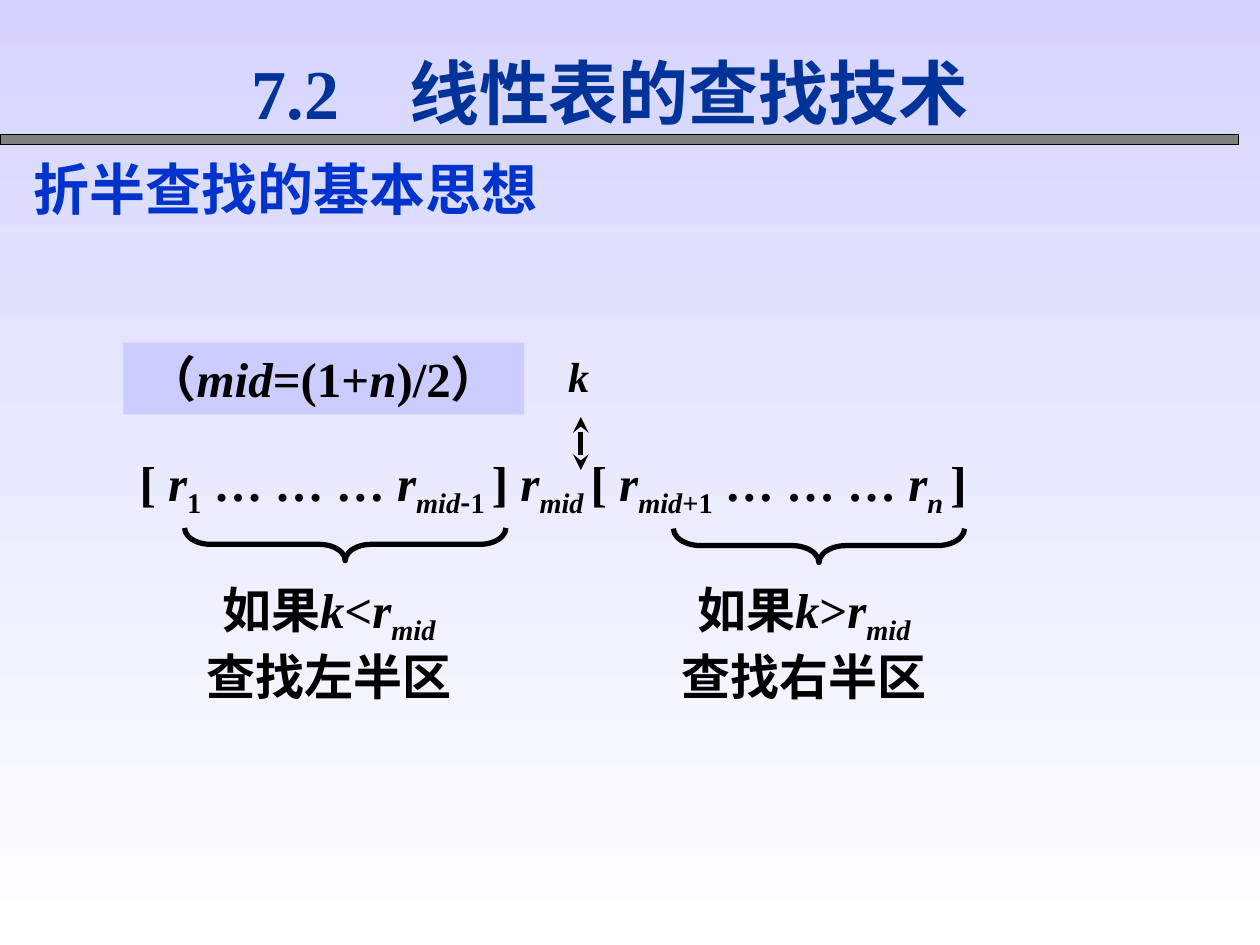
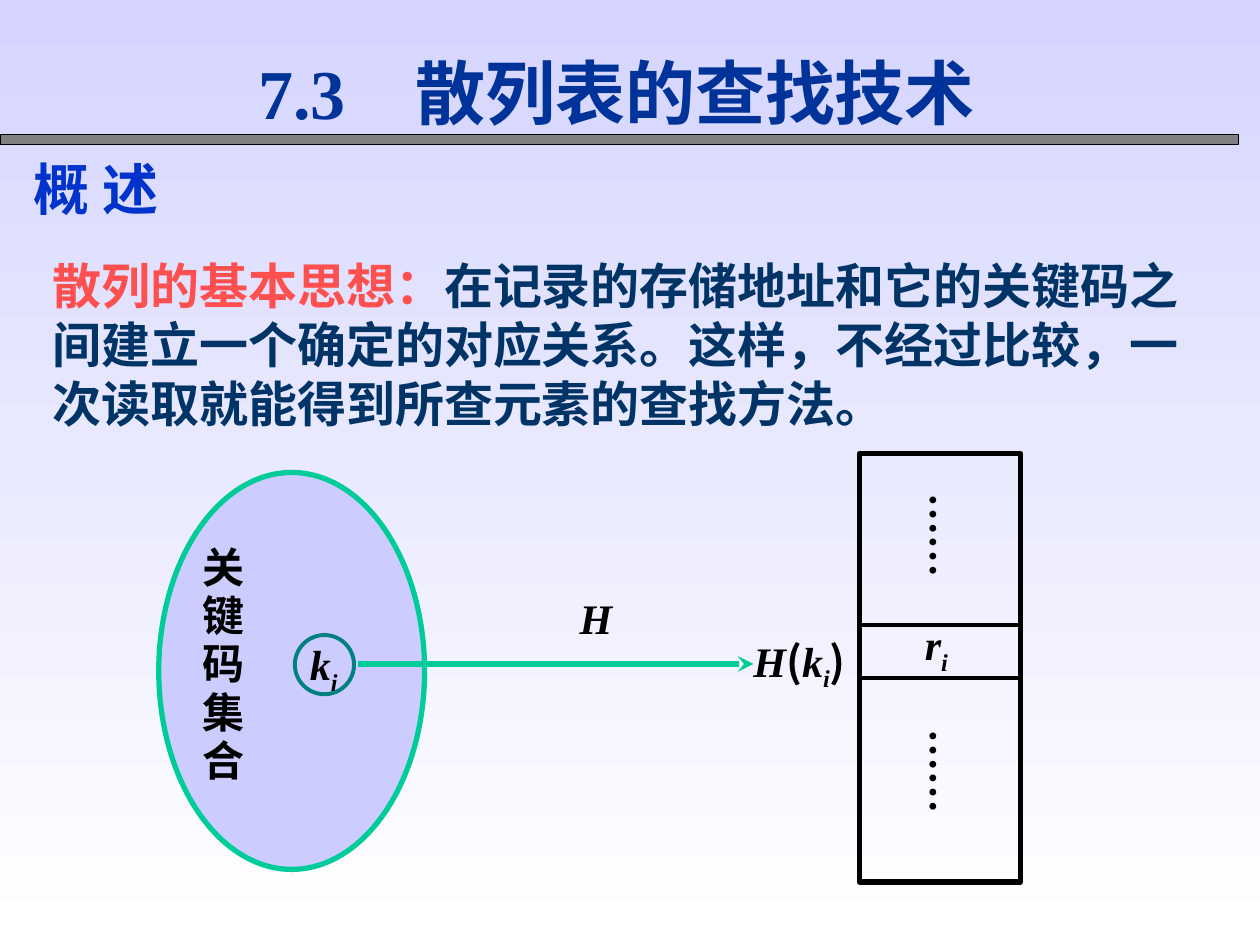
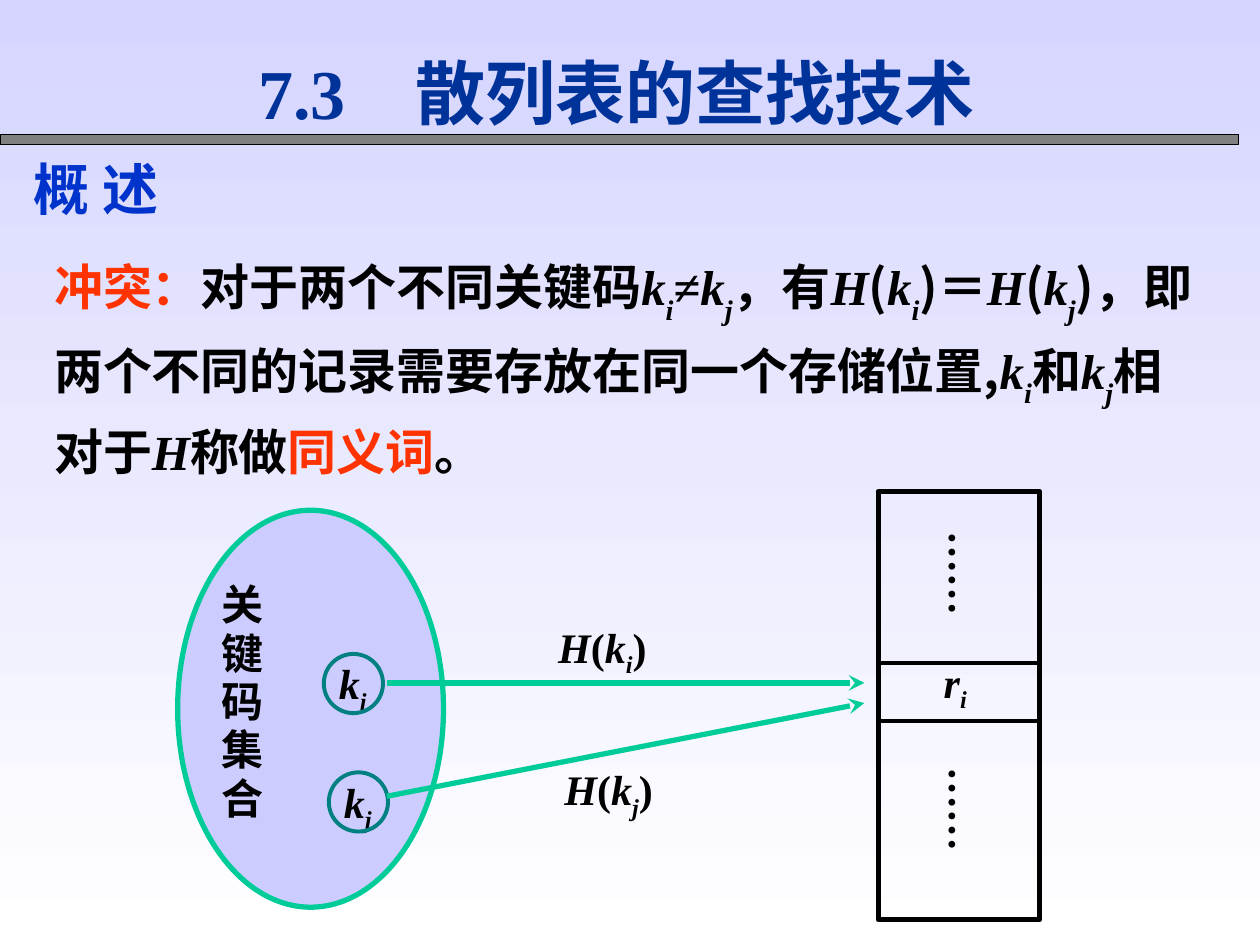
from lxml import etree
from pptx import Presentation
from pptx.dml.color import RGBColor
from pptx.enum import shapes, text
from pptx.oxml import ns
from pptx.util import Inches, Pt

LATIN, CJK = "Times New Roman", "Noto Sans CJK SC"
BLACK, GREEN, TEAL, LILAC = "000000", "00CC99", "008080", "CCCCFF"
NAVY, BLUE, INK, CORAL, RED = "003399", "0033CC", "003366", "FF5050", "FF3300"
RUN_COLORS = {"C": CORAL, "R": RED}
SMALL_INSET = (0.02, 0, 0.02, 0)


def key(n):
    return [("k", "i"), (n, "is")]


def hashed(n, paren=""):
    return [("H", "i"), ("(", paren), *key(n), (")", paren)]


R_MID = [("r", "i"), ("mid", "is")]
HALVES = [
    (2.61, [[("如果", ""), ("k", "i"), ("<", ""), *R_MID], [("查找左半区", "")]]),
    (6.38, [[("如果", ""), ("k", "i"), (">", ""), *R_MID], [("查找右半区", "")]]),
]
BRACES = [(2.74, 4.32, 0.26, 2.55), (6.5, 4.33, 0.27, 2.31)]
MID_RULE = [("（", ""), ("mid", "i"), ("=(1+", ""), ("n", "i"), (")/2）", "")]
SEQUENCE = [
    ("[ ", ""), ("r", "i"), ("1", "s"), (" … … … ", ""),
    ("r", "i"), ("mid", "is"), ("-", "ns"), ("1 ", "s"), ("] ", ""),
    ("r", "i"), ("mid ", "is"), ("[ ", ""),
    ("r", "i"), ("mid", "is"), ("+1", "s"), (" … … … ", ""),
    ("r", "i"), ("n ", "is"), ("]", ""),
]
HASH_IDEA = [
    ("散列的基本思想：", "C"),
    ("在记录的存储地址和它的关键码之间建立一个确定的对应关系。"
     "这样，不经过比较，一次读取就能得到所查元素的查找方法。", ""),
]
COLLISION = [
    ("冲突：", "R"), ("对于两个不同关键码", ""), *key("i"), ("≠", ""), *key("j"),
    ("，有", ""), *hashed("i", "n"), ("＝", ""), *hashed("j", "n"),
    ("，即两个不同的记录", ""), ("需要存放在同一个存储位置,", "n"),
    *key("i"), ("和", ""), *key("j"), ("相对于", ""), ("H", "i"), ("称做", ""),
    ("同义词", "R"), ("。", ""),
]
HASH_MAP = {
    "origin": (1.26, 3.75), "row_height": 0.42,
    "keys": [("i", 2.34, 5.04)],
    "arrows": [(2.84, 5.27, 5.98, 5.27)],
    "labels": [(4.5, 4.73, [("H", "i")]), (5.96, 5.04, hashed("i", "n"))],
}
COLLISION_MAP = {
    "origin": (1.41, 4.05), "row_height": 0.46,
    "keys": [("i", 2.57, 5.19), ("j", 2.61, 6.13)],
    "arrows": [(3.07, 5.42, 6.86, 5.42), (3.07, 6.32, 6.86, 5.58)],
    "labels": [(4.41, 4.93, hashed("i")), (4.46, 6.06, hashed("j"))],
}


def rgb(value):
    return RGBColor.from_string(value)


def write(tf, paragraphs, size=24, color=BLACK, font=LATIN, align=None, spacing=None,
          inset=(0.1, 0.05, 0.1, 0.05), anchor=text.MSO_ANCHOR.TOP, wrap=True,
          shadow=False, drop=-25, vertical=False):
    tf.word_wrap = wrap
    tf.vertical_anchor = anchor
    tf.margin_left, tf.margin_top, tf.margin_right, tf.margin_bottom = map(Inches, inset)
    if vertical:
        tf._txBody.bodyPr.set("vert", "eaVert")
    for n, runs in enumerate(paragraphs):
        p = tf.add_paragraph() if n else tf.paragraphs[0]
        p.alignment = align or text.PP_ALIGN.LEFT
        if spacing:
            p.line_spacing = spacing
        for words, style in runs:
            r = p.add_run()
            r.text = words
            r.font.size, r.font.bold, r.font.italic = Pt(size), True, "i" in style
            r.font.color.rgb = rgb(next((RUN_COLORS[c] for c in style if c in RUN_COLORS), color))
            rpr = r.font._element
            if "s" in style:
                rpr.set("baseline", str(drop * 1000))
            if shadow:
                effects = etree.SubElement(rpr, ns.qn("a:effectLst"))
                outer = etree.SubElement(effects, ns.qn("a:outerShdw"), dist="25400", dir="2700000")
                etree.SubElement(outer, ns.qn("a:srgbClr"), val="808080")
            r.font.name = CJK if "n" in style else font
            etree.SubElement(rpr, ns.qn("a:ea"), typeface=CJK)


def add_text(s, at, *paragraphs, **fmt):
    box = s.shapes.add_textbox(*map(Inches, at))
    write(box.text_frame, paragraphs, **fmt)


def add_shape(s, kind, at, fill=None, line=None, width=3):
    sp = s.shapes.add_shape(kind, *map(Inches, at))
    sp.shadow.inherit = False
    if fill:
        sp.fill.solid()
        sp.fill.fore_color.rgb = rgb(fill)
    else:
        sp.fill.background()
    if line:
        sp.line.color.rgb = rgb(line)
        sp.line.width = Pt(width)
    else:
        sp.line.fill.background()
    return sp


def add_line(s, ends, color=BLACK, width=3, arrows=()):
    c = s.shapes.add_connector(shapes.MSO_CONNECTOR.STRAIGHT, *map(Inches, ends))
    c.line.color.rgb = rgb(color)
    c.line.width = Pt(width)
    for end in arrows:
        etree.SubElement(c.line._get_or_add_ln(), ns.qn(f"a:{end}"), type="stealth")
    etree.SubElement(c._element.spPr, ns.qn("a:effectLst"))


def add_slide(prs, title, title_left, subtitle):
    s = prs.slides.add_slide(prs.slide_layouts[6])
    add_shape(s, shapes.MSO_SHAPE.RECTANGLE, (0, 1.07, 9.83, 0.08), "808080", BLACK, 0.75)
    add_text(s, (title_left, 0.35, 6.55, 0.75), [(title, "")], size=40, color=NAVY,
             anchor=text.MSO_ANCHOR.MIDDLE)
    add_text(s, (0.17, 1.18, 7, 0.64), [(subtitle, "")], size=32, color=BLUE, font=CJK, shadow=True)
    return s


def draw_halving(s):
    add_text(s, (1.01, 3.54, 7.43, 0.6), SEQUENCE, size=28)
    for cx, cy, depth, span in BRACES:
        brace = add_shape(s, shapes.MSO_SHAPE.LEFT_BRACE,
                          (cx - depth / 2, cy - span / 2, depth, span), line=BLACK)
        brace.rotation = 270
        brace.adjustments[0] = 0.8
    for cx, lines in HALVES:
        add_text(s, (cx - 1.3, 4.55, 2.6, 1.1), *lines, size=28, align=text.PP_ALIGN.CENTER)
    add_text(s, (4.51, 2.86, 0.22, 0.3), [("k", "i")], inset=(0, 0, 0, 0), spacing=0.8)
    add_line(s, (4.61, 3.31, 4.61, 3.73), arrows=("headEnd", "tailEnd"))
    rule = add_shape(s, shapes.MSO_SHAPE.RECTANGLE, (0.98, 2.72, 3.18, 0.57), LILAC)
    write(rule.text_frame, [MID_RULE], size=28, align=text.PP_ALIGN.CENTER, wrap=False)


def draw_map(s, origin, row_height, keys, arrows, labels):
    x, y = origin
    store_x, store_y, store_w = x + 5.56, y - 0.15, 1.28
    row_y = store_y + 1.36
    add_shape(s, shapes.MSO_SHAPE.OVAL, (x, y, 2.11, 3.15), LILAC, GREEN)
    add_text(s, (x + 0.33, y + 0.57, 0.34, 1.92), [("关键码集合", "")],
             inset=SMALL_INSET, spacing=0.96)
    add_shape(s, shapes.MSO_SHAPE.RECTANGLE, (store_x, store_y, store_w, 3.4), line=BLACK)
    for line_y in (row_y, row_y + row_height):
        add_line(s, (store_x, line_y, store_x + store_w, line_y), width=2.25)
    add_text(s, (store_x + 0.5, row_y - 0.05, 0.5, 0.4), [("r", "i"), ("i", "is")],
             inset=SMALL_INSET)
    for dots_y in (store_y + 0.3, store_y + 2.17):
        add_text(s, (store_x + 0.54, dots_y, 0.37, 0.9), [("……", "")],
                 inset=(0, 0.02, 0.04, 0.02), spacing=0.96, vertical=True)
    for name, key_x, key_y in keys:
        add_text(s, (key_x + 0.1, key_y + 0.03, 0.4, 0.36), key(name),
                 inset=SMALL_INSET, spacing=0.96)
        add_shape(s, shapes.MSO_SHAPE.OVAL, (key_x, key_y, 0.47, 0.47), line=TEAL, width=2.25)
    for ends in arrows:
        add_line(s, ends, GREEN, arrows=("tailEnd",))
    for label_x, label_y, runs in labels:
        add_text(s, (label_x + 0.08 * (len(runs) == 1), label_y, 0.89, 0.37), runs,
                 inset=SMALL_INSET, spacing=0.96)


def main():
    prs = Presentation()
    prs.slide_width, prs.slide_height = Inches(10), Inches(7.5)
    fill = prs.slide_master.background.fill
    fill.gradient()
    fill.gradient_angle = 270
    for stop, position, color in zip(fill.gradient_stops, (0, 1), ("D5D5FF", "FFFFFF")):
        stop.position = position
        stop.color.rgb = rgb(color)

    s = add_slide(prs, "7.2　线性表的查找技术", 1.9, "折半查找的基本思想")
    draw_halving(s)

    hash_title = ("7.3　散列表的查找技术", 1.95, "概 述")
    s = add_slide(prs, *hash_title)
    add_text(s, (0.32, 1.98, 9.33, 1.5), HASH_IDEA, size=28, color=INK, shadow=True)
    draw_map(s, **HASH_MAP)

    s = add_slide(prs, *hash_title)
    add_text(s, (0.43, 1.88, 9.16, 1.98), COLLISION, size=28, spacing=1.2,
             inset=(0, 0.05, 0, 0.05), shadow=True, drop=-30)
    draw_map(s, **COLLISION_MAP)

    prs.save("out.pptx")


if __name__ == "__main__":
    main()
